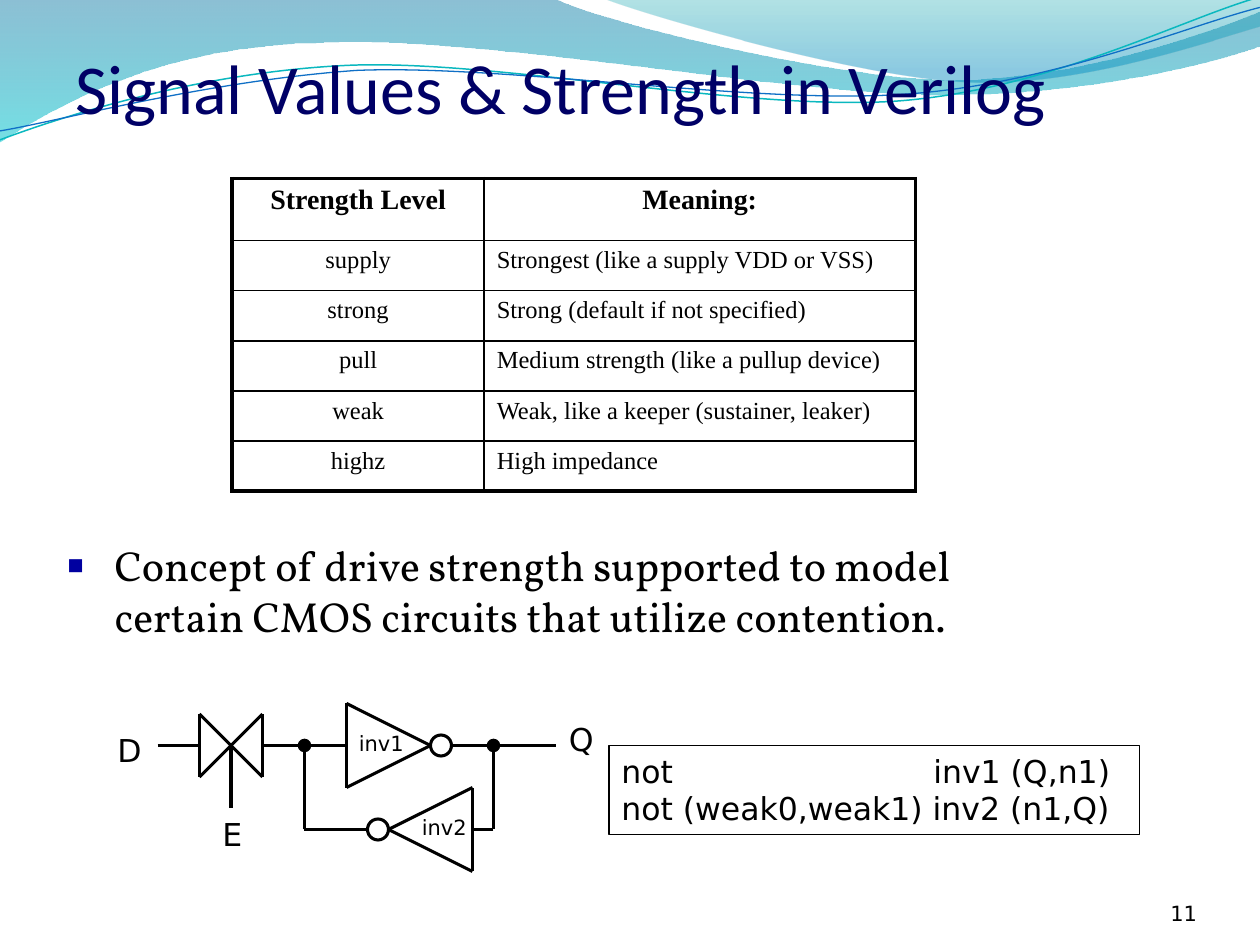
import itertools

import lxml.etree
import pptx
import pptx.dml.color
import pptx.enum.shapes
import pptx.enum.text
import pptx.oxml
import pptx.oxml.ns
import pptx.util

Cm = pptx.util.Cm
Pt = pptx.util.Pt
RGB = pptx.dml.color.RGBColor.from_string
qn = pptx.oxml.ns.qn
Align = pptx.enum.text.PP_ALIGN
Anchor = pptx.enum.text.MSO_ANCHOR
Shape = pptx.enum.shapes.MSO_SHAPE

theme = {
    "ink": "000000", "title": "000066", "bullet": "0000A0",
    "head": "Calibri", "body": "Vollkorn", "grid": "Times New Roman", "code": "DejaVu Sans",
    "huge": 40, "large": 24, "mid": 18, "label": 16, "cell": 14, "small": 12,
    "wire": 1.75, "thick": 2.25, "thin": 1,
}


def write(frame, text, font="code", size="mid", color="ink", bold=False,
          align=Align.LEFT, anchor=Anchor.TOP, wrap=True, inset=None):
    """Fill a text frame, one paragraph per line, in the given format."""
    frame.word_wrap = wrap
    frame.vertical_anchor = anchor
    if not wrap:
        frame.auto_size = pptx.enum.text.MSO_AUTO_SIZE.SHAPE_TO_FIT_TEXT
    if inset is not None:
        frame.margin_left = frame.margin_right = inset
        frame.margin_top = frame.margin_bottom = inset
    frame.text = text
    for para in frame.paragraphs:
        para.alignment = align
        for run in para.runs:
            run.font.name = theme[font]
            run.font.size = Pt(theme[size])
            run.font.bold = bold
            run.font.color.rgb = RGB(theme[color])


def trace(start, parts, closed):
    """Draw an outline in cm; parts of two numbers are lines, of six are curves."""
    spots = [(Cm(x), Cm(y)) for part in parts for x, y in zip(part[::2], part[1::2])]
    form = slide.shapes.build_freeform(Cm(start[0]), Cm(start[1]))
    form.add_line_segments(spots, close=closed)
    shape = form.convert_to_shape()
    shape.shadow.inherit = False
    nodes = iter(list(shape.element.iter(qn("a:lnTo"))))
    for part in parts:
        first = next(nodes)
        if len(part) == 6:
            first.tag = qn("a:cubicBezTo")
            for node in itertools.islice(nodes, 2):
                first.append(node[0])
                node.getparent().remove(node)
    return shape


deck = pptx.Presentation()
deck.slide_width, deck.slide_height = Cm(25.4), Cm(19.05)
slide = deck.slides.add_slide(deck.slide_layouts[6])
shapes = slide.shapes

# Header waves: start, parts, gradient stops (place, colour, opacity)
waves = [
    ((0, -0.03), [(11.18, -0.03), (12.09, 0.43, 16.87, 1.6, 19.25, 1.6),
                  (21.67, 1.6, 24.33, 0.66, 25.4, 0.23), (25.43, 0.91),
                  (24.97, 1.12, 22.1, 1.93, 18.95, 1.91),
                  (15.8, 1.91, 9.7, 0.71, 6.53, 0.86),
                  (3.28, 0.89, 1.17, 2.11, -0.03, 2.87)],
     [(0, "0074A1", 45), (1, "00C6CF", 55)]),
    ((12.17, -0.03), [(12.93, 0.28, 17.32, 1.57, 19.53, 1.65),
                      (21.74, 1.75, 24.41, 0.81, 25.4, 0.53), (25.4, 0)],
     [(0, "00A1A9", 30), (0.8, "008BBF", 45)]),
]
for start, parts, stops in waves:
    wave = trace(start, parts, True)
    wave.line.fill.background()
    wave.fill.gradient()
    wave.fill.gradient_angle = 270
    for stop, (place, color, _) in zip(wave.fill.gradient_stops, stops):
        stop.position = place
        stop.color.rgb = RGB(color)
    for node, (_, _, alpha) in zip(wave.element.spPr.iter(qn("a:srgbClr")), stops):
        lxml.etree.SubElement(node, qn("a:alpha"), val=str(alpha * 1000))

curves = [
    ((-0.05, 2.22), [(1.19, 1.82, 4.02, 1.04, 7.05, 1.05), (10.05, 1.07, 15.02, 2.37, 18.08, 2.29),
                     (21.13, 2.2, 23.87, 0.91, 25.41, 0.55)], "0AB8BF", 0.85),
    ((-0.04, 2.04), [(1.16, 1.9, 4.17, 1.23, 7.2, 1.16), (10.25, 1.18, 15.13, 2.23, 18.19, 2.16),
                     (21.21, 2.1, 23.91, 1.06, 25.45, 0.75)], "0F6FC6", 0.75),
]
for start, parts, color, width in curves:
    curve = trace(start, parts, False)
    curve.rotation = 357.3
    curve.fill.background()
    curve.line.color.rgb = RGB(color)
    curve.line.width = Pt(width)

# Page number, title and bullet
page = shapes.add_textbox(Cm(22.02), Cm(17.65), Cm(2.11), Cm(1.02))
write(page.text_frame, "11", size="small", align=Align.RIGHT, anchor=Anchor.BOTTOM, inset=0)
title = shapes.add_textbox(Cm(1.27), Cm(0.78), Cm(22.86), Cm(3.18))
write(title.text_frame, "Signal Values & Strength in Verilog",
      font="head", size="huge", color="title")
point = shapes.add_textbox(Cm(1.09), Cm(10.76), Cm(20.22), Cm(2.54))
write(point.text_frame, "Concept of drive strength supported to model "
      "certain CMOS circuits that utilize contention.", font="body", size="large")
props = point.text_frame.paragraphs[0]._p.get_or_add_pPr()
props.set("marL", str(Cm(0.97)))
props.set("indent", str(Cm(-0.97)))
tint = lxml.etree.SubElement(props, qn("a:buClr"))
lxml.etree.SubElement(tint, qn("a:srgbClr"), val=theme["bullet"])
lxml.etree.SubElement(props, qn("a:buSzPct"), val="125000")
lxml.etree.SubElement(props, qn("a:buFont"), typeface=theme["grid"])
lxml.etree.SubElement(props, qn("a:buChar"), char="▪")

# Strength table
rows = [
    ("Strength Level", "Meaning:"),
    ("supply", "Strongest (like a supply VDD or VSS)"),
    ("strong", "Strong (default if not specified)"),
    ("pull", "Medium strength (like a pullup device)"),
    ("weak", "Weak, like a keeper (sustainer, leaker)"),
    ("highz", "High impedance"),
]
table = shapes.add_table(len(rows), 2, Cm(4.68), Cm(3.6), Cm(13.77), Cm(6.3)).table
table.first_row = table.horz_banding = False
table.columns[0].width, table.columns[1].width = Cm(5.08), Cm(8.69)
for r, row in enumerate(rows):
    head = r == 0
    table.rows[r].height = Cm(1.25 if head else 1.01)
    for c, text in enumerate(row):
        cell = table.cell(r, c)
        write(cell.text_frame, text, font="grid", size="label" if head else "cell", bold=head,
              align=Align.CENTER if head or c == 0 else Align.LEFT)
        cell.fill.background()
        outer = {"lnL": c == 0, "lnR": c == 1, "lnT": head, "lnB": r == len(rows) - 1}
        for i, (side, edge) in enumerate(outer.items()):
            rule = lxml.etree.Element(qn("a:" + side))
            rule.set("w", str(Pt(theme["thick" if edge else "thin"])))
            fill = lxml.etree.SubElement(rule, qn("a:solidFill"))
            lxml.etree.SubElement(fill, qn("a:srgbClr"), val=theme["ink"])
            cell._tc.get_or_add_tcPr().insert(i, rule)

# Latch circuit, on a grid of twelve units to 2.54 cm
unit = Cm(2.54) / 12
wires = [
    [(19, 68), (25, 74), (25, 68), (19, 74), (19, 68)],
    [(33, 75), (33, 67), (41, 71), (33, 75)],
    [(45, 83), (45, 75), (37, 79), (45, 83)],
    [(15, 71), (19, 71)],
    [(25, 71), (33, 71)],
    [(43, 71), (47, 71), (53, 71)],
    [(47, 71), (47, 79), (45, 79)],
    [(35, 79), (31, 79), (29, 79), (29, 71)],
    [(22, 71), (22, 77)],
]
for wire in wires:
    for start, end in itertools.pairwise(wire):
        line = shapes.add_connector(pptx.enum.shapes.MSO_CONNECTOR.STRAIGHT,
                                    *(round(v * unit) for v in start + end))
        line.line.color.rgb = RGB(theme["ink"])
        line.line.width = Pt(theme["wire"])
        lxml.etree.SubElement(line.element.spPr, qn("a:effectLst"))

for x, y, size in [(42, 71, 2), (36, 79, 2), (47, 71, 1), (29, 71, 1)]:
    ring = shapes.add_shape(Shape.OVAL, *(round(v * unit) for v in (
        x - size / 2, y - size / 2, size, size)))
    ring.shadow.inherit = False
    ring.line.color.rgb = RGB(theme["ink"])
    ring.line.width = Pt(theme["wire"])
    if size == 1:
        ring.fill.solid()
        ring.fill.fore_color.rgb = RGB(theme["ink"])
    else:
        ring.fill.background()

labels = [("D", 10, 69, "mid"), ("Q", 53, 68, "mid"), ("E", 20, 77, "mid"),
          ("inv1", 33, 69, "small"), ("inv2", 39, 77, "small")]
for text, x, y, size in labels:
    wide, high = (1.02, 1.02) if size == "mid" else (1.42, 0.76)
    label = shapes.add_textbox(round(x * unit), round(y * unit), Cm(wide), Cm(high))
    write(label.text_frame, text, size=size, wrap=False)

# Code box
code = shapes.add_shape(Shape.RECTANGLE, round(58 * unit), round(71 * unit), Cm(10.69), Cm(1.8))
code.shadow.inherit = False
code.fill.background()
code.line.color.rgb = RGB(theme["ink"])
code.line.width = Pt(0.75)
write(code.text_frame, "not\tinv1 (Q,n1)\nnot (weak0,weak1) inv2 (n1,Q)", wrap=False)
tabs = lxml.etree.SubElement(code.text_frame.paragraphs[0]._p.get_or_add_pPr(), qn("a:tabLst"))
lxml.etree.SubElement(tabs, qn("a:tab"), pos=str(Cm(6.29)), algn="l")

deck.save("out.pptx")
